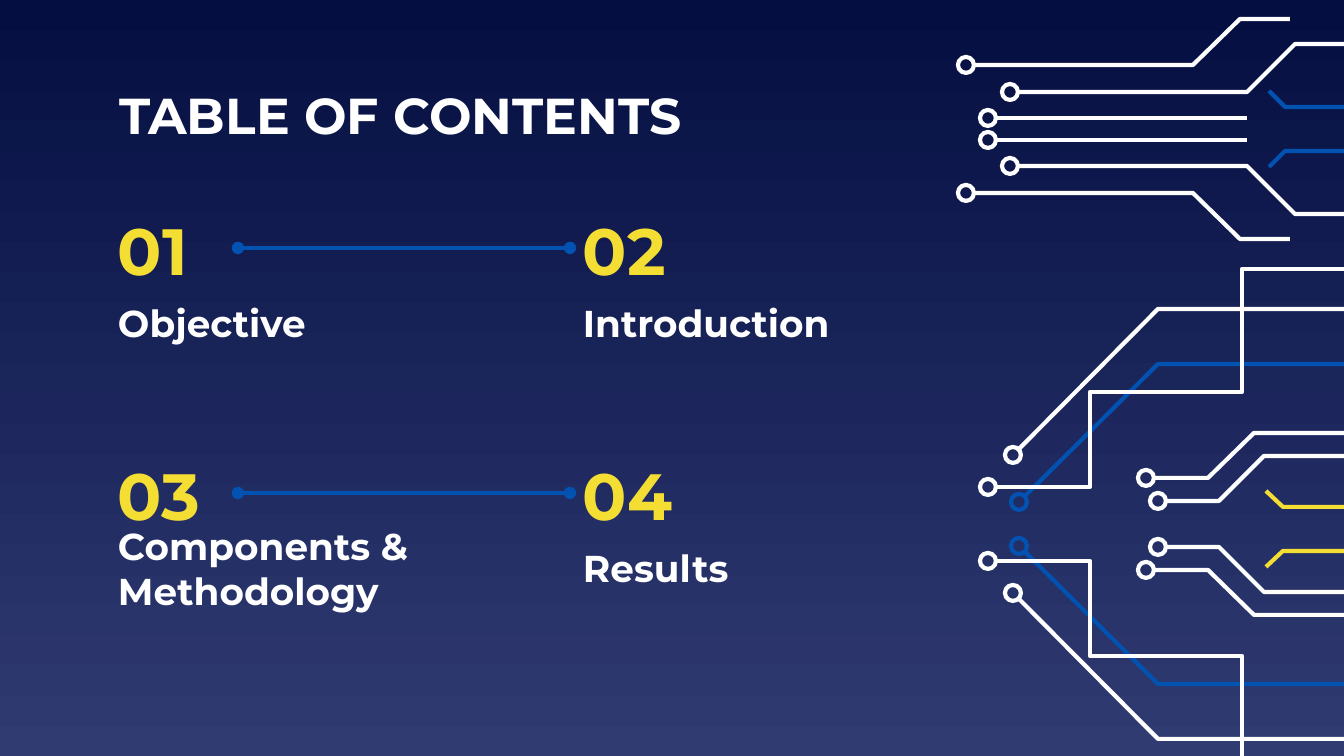
from math import hypot

from lxml.etree import SubElement
from pptx import Presentation
from pptx.dml.color import RGBColor
from pptx.enum.shapes import MSO_CONNECTOR, MSO_SHAPE
from pptx.enum.text import MSO_ANCHOR
from pptx.oxml.ns import qn
from pptx.util import Emu, Pt

SLIDE_W, SLIDE_H = 1344, 756
SCALE = 9144000 / SLIDE_W

NAVY = RGBColor(0x04, 0x0E, 0x41)
INDIGO = RGBColor(0x30, 0x3B, 0x72)
WHITE = RGBColor(0xFF, 0xFF, 0xFF)
YELLOW = RGBColor(0xF5, 0xDE, 0x34)
BLUE = RGBColor(0x01, 0x52, 0xB1)

FONT = "Montserrat"
STROKE = Pt(2.25)
INSET = 13
RING_R = 8
COLUMN_GAP, ROW_GAP = 465, 245

ENTRIES = [
    ["Objective", "Introduction"],
    ["Components & Methodology", "Results"],
]

UPPER_TRACES = [
    (BLUE, False, [(313, 72), (329, 88), (388, 88)]),
    (WHITE, True, [(10, 46), (237, 46), (284, 0), (334, 0)]),
    (WHITE, True, [(54, 73), (291, 73), (339, 25), (388, 25)]),
    (WHITE, True, [(32, 99), (291, 99)]),
]
LOWER_TRACES = [
    (BLUE, True, [(39, 233), (178, 95), (364, 95)]),
    (WHITE, True, [(8, 218), (110, 218), (110, 123), (262, 123), (262, 23)]),
    (WHITE, True, [(33, 186), (178, 40), (364, 40)]),
    (WHITE, True, [(166, 209), (228, 209), (274, 164), (364, 164)]),
    (WHITE, True, [(178, 232), (239, 232), (284, 187), (364, 187)]),
]
STEP_END = [(262, 23), (262, 0), (364, 0)]
CHEVRON_TRACES = [(YELLOW, False, [(0, 0), (17, 16), (78, 16)])]


def px(n):
    return Emu(round(n * SCALE))


def add_text(s, text, box, *, size, color):
    tf = s.shapes.add_textbox(*map(px, box)).text_frame
    tf.word_wrap = True
    tf.vertical_anchor = MSO_ANCHOR.MIDDLE
    tf.margin_left = tf.margin_right = px(INSET)
    tf.margin_top = tf.margin_bottom = px(INSET)
    r = tf.paragraphs[0].add_run()
    r.text = text
    r.font.name = FONT
    r.font.size = Pt(size)
    r.font.bold = True
    r.font.color.rgb = color


def outline(sp, color):
    sp.shadow.inherit = False
    sp.fill.background()
    sp.line.color.rgb = color
    sp.line.width = STROKE


def add_trace(s, origin, points, color, ring):
    left, top = origin
    pts = [(left + x, top + y) for x, y in points]
    if ring:
        (x, y), (nx, ny) = pts[:2]
        box = (x - RING_R, y - RING_R, 2 * RING_R, 2 * RING_R)
        outline(s.shapes.add_shape(MSO_SHAPE.OVAL, *map(px, box)), color)
        ratio = RING_R / hypot(nx - x, ny - y)
        pts[0] = (x + (nx - x) * ratio, y + (ny - y) * ratio)
    pts = [(px(x), px(y)) for x, y in pts]
    builder = s.shapes.build_freeform(*pts[0])
    builder.add_line_segments(pts[1:], close=False)
    outline(builder.convert_to_shape(), color)


def add_circuit(s, origin, axis, traces):
    for color, ring, points in traces:
        mirrored = [(x, 2 * axis - y) for x, y in points]
        for route in (points, mirrored):
            add_trace(s, origin, route, color, ring)


def add_link(s, left, right, y):
    c = s.shapes.add_connector(
        MSO_CONNECTOR.STRAIGHT, px(left), px(y), px(right), px(y))
    c.line.color.rgb = BLUE
    c.line.width = STROKE
    ln = c.line._get_or_add_ln()
    for end in ("a:headEnd", "a:tailEnd"):
        SubElement(ln, qn(end), type="oval")
    SubElement(c._element.spPr, qn("a:effectLst"))


def add_entry(s, origin, number, label):
    left, top = origin
    add_text(s, f"{number:02}", (left, top, 133, 78), size=35, color=YELLOW)
    add_text(s, label, (left, top + 78, 324, 70), size=20, color=WHITE)


def add_contents(s, origin):
    left, top = origin
    number = 1
    for row, labels in enumerate(ENTRIES):
        y = top + row * ROW_GAP
        for col, label in enumerate(labels):
            add_entry(s, (left + col * COLUMN_GAP, y), number, label)
            number += 1
        add_link(s, left + 133, left + COLUMN_GAP, y + 38)


def set_background(s):
    fill = s.background.fill
    fill.gradient()
    fill.gradient_angle = 270
    for stop, color, position in zip(fill.gradient_stops, (NAVY, INDIGO), (0, 1)):
        stop.color.rgb = color
        stop.position = position


def main():
    prs = Presentation()
    prs.slide_width, prs.slide_height = px(SLIDE_W), px(SLIDE_H)
    s = prs.slides.add_slide(prs.slide_layouts[6])
    set_background(s)
    add_circuit(s, (1266, 491), 38, CHEVRON_TRACES)
    add_text(s, "TABLE OF CONTENTS", (106, 79, 789, 70), size=27, color=WHITE)
    add_contents(s, (105, 210))
    add_circuit(s, (980, 269), 255, LOWER_TRACES)
    add_trace(s, (980, 269), STEP_END, WHITE, False)
    add_circuit(s, (956, 19), 110, UPPER_TRACES)
    prs.save("out.pptx")


if __name__ == "__main__":
    main()
